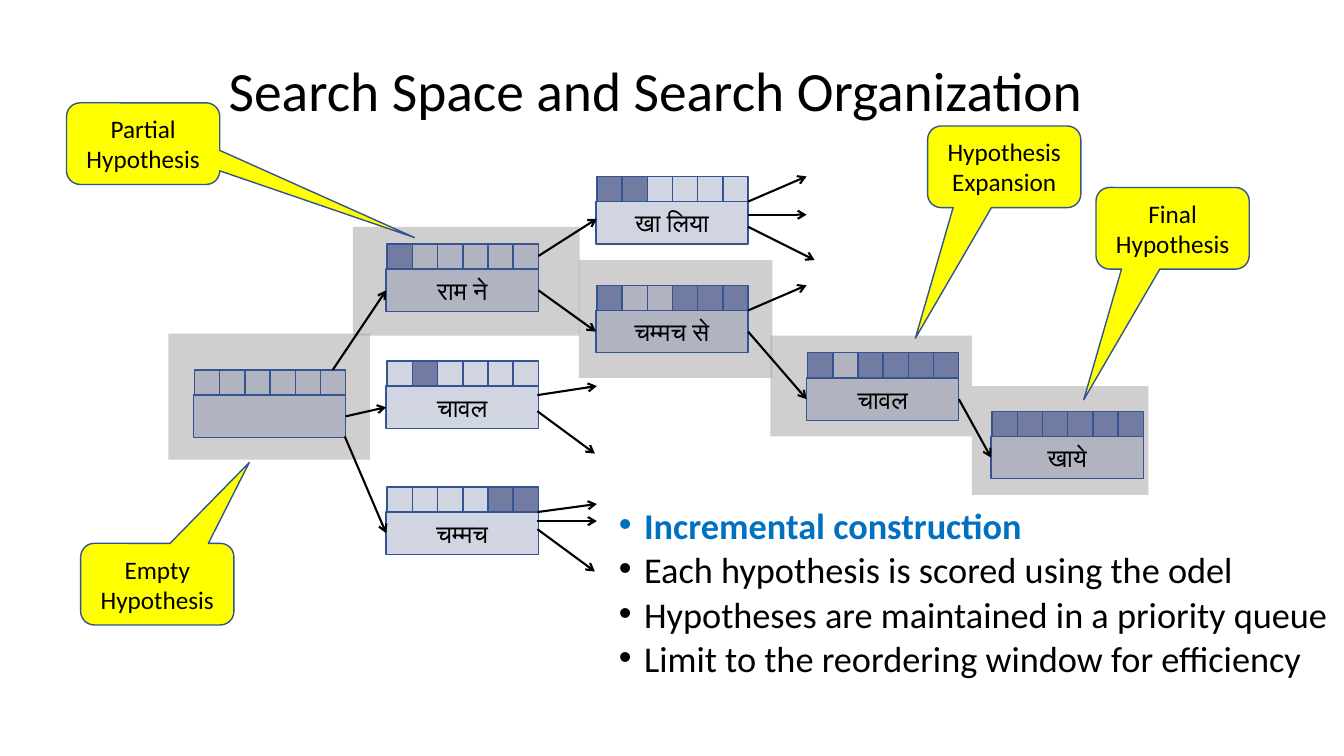
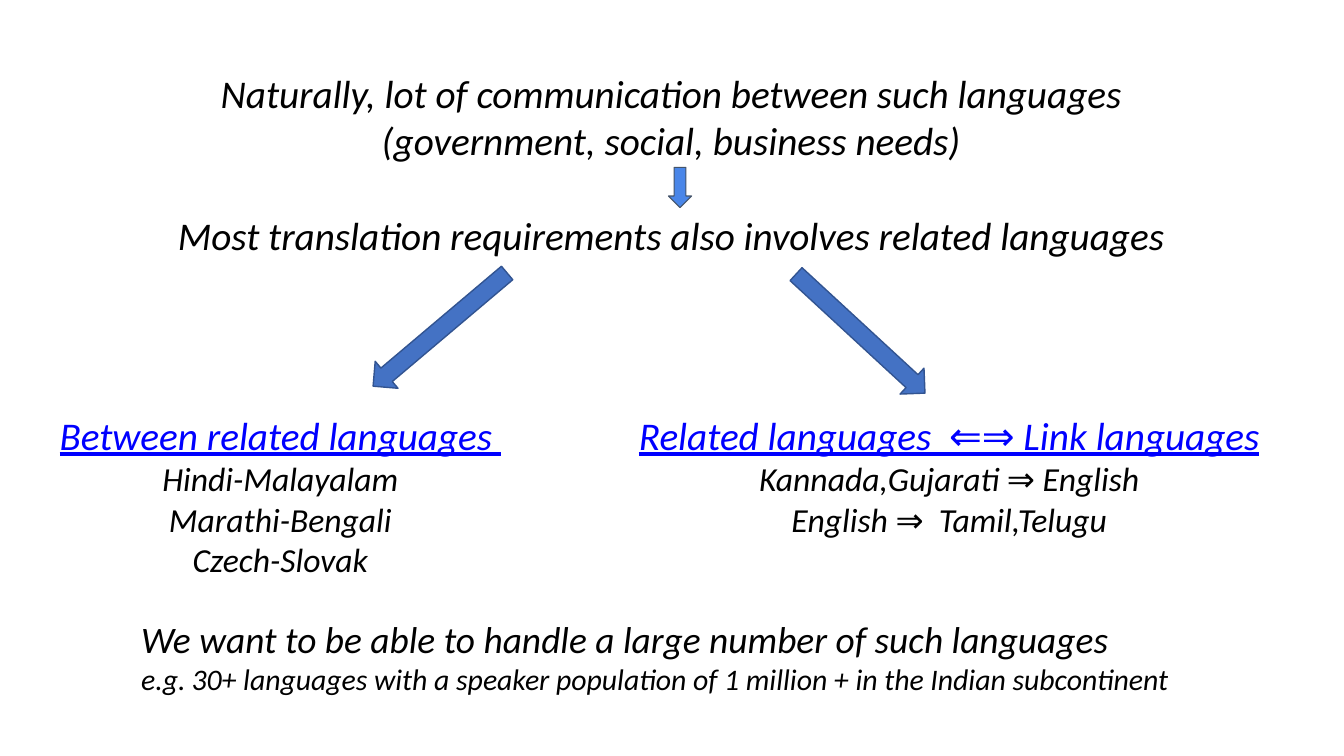
from lxml import etree
from pptx import Presentation
from pptx.dml.color import RGBColor
from pptx.enum.shapes import MSO_CONNECTOR, MSO_SHAPE as SHAPE
from pptx.enum.text import MSO_ANCHOR as ANCHOR, PP_ALIGN as ALIGN
from pptx.oxml.ns import qn
from pptx.util import Inches, Pt

FONT = "Calibri"
BLACK = RGBColor(0x00, 0x00, 0x00)
GREY = RGBColor(0xAF, 0xAB, 0xAB)
SLATE = RGBColor(0x72, 0x7C, 0xA3)
NAVY = RGBColor(0x32, 0x54, 0x91)
YELLOW = RGBColor(0xFF, 0xFF, 0x00)
ACCENT = RGBColor(0x00, 0x70, 0xC0)
LINK = RGBColor(0x00, 0x00, 0xFF)
BLUE = RGBColor(0x44, 0x72, 0xC4)
LIGHT_BLUE = RGBColor(0x4A, 0x86, 0xE8)
DARK = RGBColor(0x44, 0x54, 0x6A)


def write(tf, text, size=18, color=BLACK, align=ALIGN.CENTER, bold=False, italic=False,
          underline=False, before=0, spacing=None, bullet=False):
    """Add one paragraph to a text frame."""
    tf.word_wrap = True
    p = tf.add_paragraph() if tf.text else tf.paragraphs[0]
    p.alignment, p.space_before, p.line_spacing = align, Pt(before), spacing
    if bullet:
        pPr = p._p.get_or_add_pPr()
        pPr.set("marL", str(Inches(0.25)))
        pPr.set("indent", str(-Inches(0.25)))
        etree.SubElement(pPr, qn("a:buFont"), typeface="Arial")
        etree.SubElement(pPr, qn("a:buChar"), char="•")
    r = p.add_run()
    r.text = text
    f = r.font
    f.name, f.size, f.color.rgb = FONT, Pt(size), color
    f.bold, f.italic, f.underline = bold, italic, underline


def draw(shapes, kind, x, y, w, h, fill, line=NAVY, width=1, alpha=None):
    """Add a preset shape, see-through when alpha (percent) is given."""
    sp = shapes.add_shape(kind, Inches(x), Inches(y), Inches(w), Inches(h))
    sp.shadow.inherit = False
    sp.fill.solid()
    sp.fill.fore_color.rgb = fill
    if alpha:
        clr = sp._element.spPr.find(qn("a:solidFill"))[0]
        etree.SubElement(clr, qn("a:alpha"), val=str(alpha * 1000))
    if line is None:
        sp.line.fill.background()
    else:
        sp.line.color.rgb, sp.line.width = line, Pt(width)
    sp.text_frame.vertical_anchor = ANCHOR.MIDDLE
    return sp


prs = Presentation()
prs.slide_width, prs.slide_height = Inches(13.33), Inches(7.5)
blank = prs.slide_layouts[6]

# Slide 1: search space
s = prs.slides.add_slide(blank)

# Grey path behind the chosen hypotheses
for x, y, w, h in [(1.67, 3.31, 2, 1.25), (3.5, 2.25, 2.25, 1.08), (5.74, 2.58, 1.92, 1.17),
                   (7.64, 3.33, 2, 1), (9.64, 3.83, 1.75, 1.08)]:
    draw(s.shapes, SHAPE.RECTANGLE, x, y, w, h, GREY, line=None, alpha=58)

# Hypotheses: six coverage cells above a word; 1 marks a covered cell
CELL = 0.25
hypotheses = [
    ("empty", 1.92, 3.67, "000000", ""),
    ("ram", 3.83, 2.42, "100000", "राम ने"),
    ("rice", 3.83, 3.58, "010000", "चावल"),
    ("spoon", 3.83, 4.83, "000011", "चम्मच"),
    ("ate", 5.91, 1.75, "110000", "खा लिया"),
    ("with spoon", 5.91, 2.83, "100111", "चम्मच से"),
    ("then rice", 8, 3.5, "101111", "चावल"),
    ("final", 9.83, 4.08, "111111", "खाये"),
]
words = {}
for key, x, y, coverage, text in hypotheses:
    group = s.shapes.add_group_shape().shapes
    for i, covered in enumerate(coverage):
        draw(group, SHAPE.RECTANGLE, x + 0.01 + i * CELL, y, CELL, CELL, SLATE,
             alpha=None if covered == "1" else 32)
    words[key] = draw(group, SHAPE.RECTANGLE, x, y + CELL, 1.51, 0.42, SLATE, alpha=32)
    if text:
        write(words[key].text_frame, text)

# Expansion arrows: an end is a hypothesis or a free point
arrows = [
    ((3.3, 3.67), "ram"), ("empty", "rice"), ((3.42, 4.33), "spoon"),
    ((5.34, 2.54), (5.92, 2.17)), ("ram", "with spoon"),
    ((5.33, 4.08), (5.9, 4.5)), ((5.33, 3.92), (5.92, 3.83)),
    ((5.33, 5.25), (5.9, 5.67)), ((5.33, 5.08), (5.92, 5)), ((5.33, 5.17), (5.92, 5.17)),
    ("with spoon", "then rice"), ("then rice", "final"), ((7.42, 3.08), (8, 2.83)),
    ((7.42, 2), (8, 1.75)), ((7.42, 2.25), (8.08, 2.58)), ((7.42, 2.13), (8, 2.13)),
]
for start, end in arrows:
    x1, y1 = (0, 0) if start in words else start
    x2, y2 = (0, 0) if end in words else end
    c = s.shapes.add_connector(MSO_CONNECTOR.STRAIGHT, Inches(x1), Inches(y1),
                               Inches(x2), Inches(y2))
    if start in words:
        c.begin_connect(words[start], 3)
    if end in words:
        c.end_connect(words[end], 1)
    c.line.color.rgb, c.line.width = BLACK, Pt(1.5)
    etree.SubElement(c.line._get_or_add_ln(), qn("a:tailEnd"), type="arrow")
    etree.SubElement(c._element.spPr, qn("a:effectLst"))

# Key points
tf = s.shapes.add_textbox(Inches(6.04), Inches(5.06), Inches(7.24), Inches(2.06)).text_frame
for i, text in enumerate(["Incremental construction",
                          "Each hypothesis is scored using the odel",
                          "Hypotheses are maintained in a priority queue",
                          "Limit to the reordering window for efficiency"]):
    write(tf, text, size=25.9, color=BLACK if i else ACCENT, bold=i == 0, align=ALIGN.LEFT,
          before=10, spacing=0.7, bullet=True)

# Title
tf = s.shapes.add_textbox(Inches(2.17), Inches(0.3), Inches(9), Inches(1.25)).text_frame
tf.vertical_anchor = ANCHOR.MIDDLE
write(tf, "Search Space and Search Organization", size=39.6, align=ALIGN.LEFT, spacing=0.9)

# Callouts: place and pointer tip
for x, y, tip_x, tip_y, text in [(0.8, 5.39, 0.6, -1.49, "Empty Hypothesis"),
                                 (0.66, 1.02, 1.77, 1.15, "Partial Hypothesis"),
                                 (10.87, 1.86, -0.58, 2.1, "Final Hypothesis"),
                                 (9.2, 1.25, -0.58, 2.1, "Hypothesis Expansion")]:
    sp = draw(s.shapes, SHAPE.ROUNDED_RECTANGULAR_CALLOUT, x, y, 1.52, 0.81, YELLOW)
    sp.adjustments[0], sp.adjustments[1] = tip_x, tip_y
    write(sp.text_frame, text)

# Slide 2: translation between related languages
s = prs.slides.add_slide(blank)

# Reasoning at the top
tf = s.shapes.add_textbox(Inches(1.61), Inches(0.64), Inches(10.09), Inches(2.28)).text_frame
for text, before in [("Naturally, lot of communication between such languages", 0),
                     ("(government, social, business needs)", 0),
                     ("Most translation requirements also involves related languages", 34)]:
    write(tf, text, size=28, italic=True, before=before)
draw(s.shapes, SHAPE.DOWN_ARROW, 6.63, 1.66, 0.23, 0.4, LIGHT_BLUE, line=DARK, width=0.75)

# Two kinds of language pairs
for x, w, h, heading, pairs in [
        (0.49, 4.58, 2.16, "Between related languages ",
         ["Hindi-Malayalam", "Marathi-Bengali", "Czech-Slovak"]),
        (5.83, 7.17, 1.8, "Related languages  ⇐⇒ Link languages",
         ["Kannada,Gujarati ⇒ English", "English ⇒  Tamil,Telugu"])]:
    tf = s.shapes.add_textbox(Inches(x), Inches(4.03), Inches(w), Inches(h)).text_frame
    write(tf, heading, size=28, color=LINK, italic=True, underline=True)
    for pair in pairs:
        write(tf, pair, size=24, italic=True)

# Goal
tf = s.shapes.add_textbox(Inches(1.27), Inches(5.98), Inches(11.22), Inches(0.97)).text_frame
tf.margin_left = tf.margin_right = tf.margin_top = tf.margin_bottom = Inches(0.13)
for text, size in [
        ("We want to be able to handle a large number of such languages", 26.7),
        ("e.g.\t30+ languages with a speaker population of 1 million + "
         "in the Indian subcontinent", 21.3)]:
    write(tf, text, size=size, italic=True, align=ALIGN.LEFT)

# Branching arrows
for x, y, angle in [(4.19, 2.4, 49.8), (8.36, 2.44, 312.7)]:
    draw(s.shapes, SHAPE.DOWN_ARROW, x, y, 0.35, 1.74, BLUE).rotation = angle

prs.save("out.pptx")
